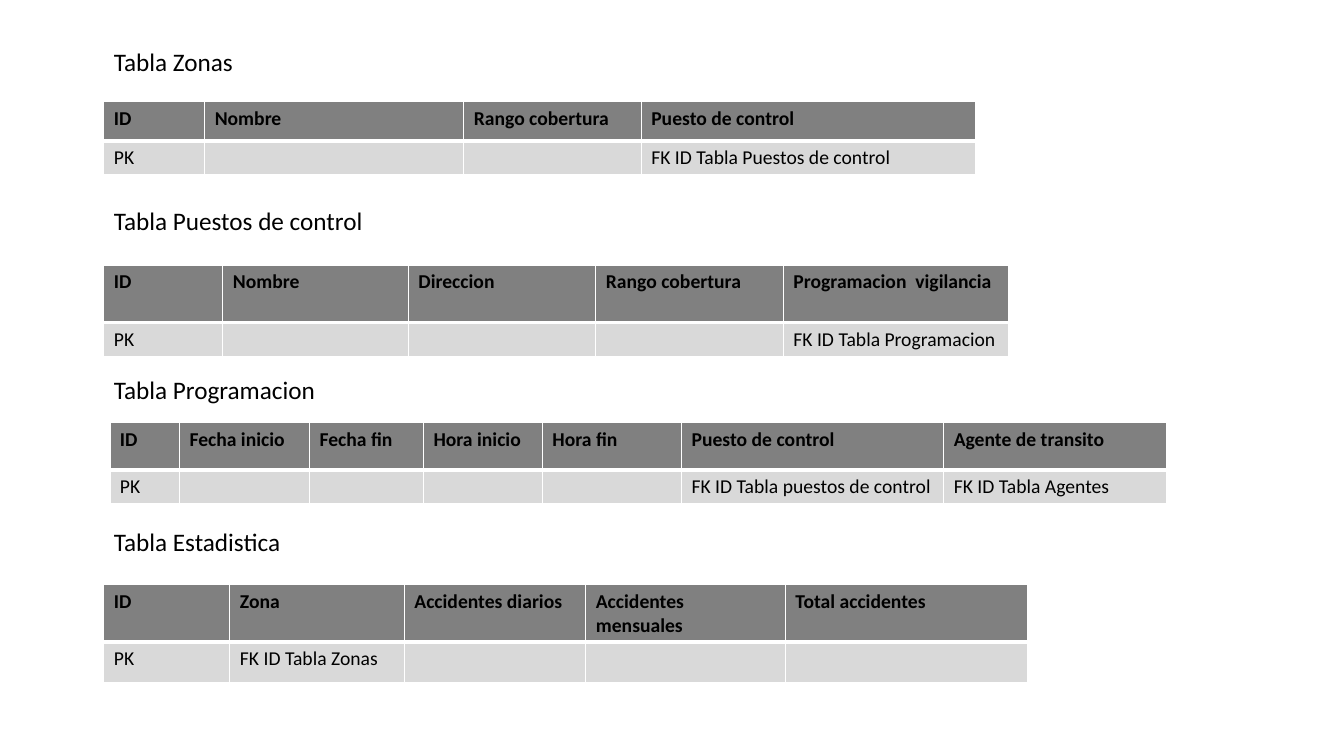
"""Build a slide with four database table layouts and their titles."""
import pptx
import pptx.dml.color
import pptx.oxml.ns
import pptx.util
from lxml import etree

Inches = pptx.util.Inches
qn = pptx.oxml.ns.qn


def paint(fill, color):
    fill.solid()
    fill.fore_color.rgb = pptx.dml.color.RGBColor.from_string(color)


def edge(cell, side, width):
    props = cell._tc.get_or_add_tcPr()
    line = etree.SubElement(props, qn("a:" + side), w=str(pptx.util.Pt(width)))
    fill = etree.SubElement(line, qn("a:solidFill"))
    etree.SubElement(fill, qn("a:srgbClr"), val="FFFFFF")


deck = pptx.Presentation()
deck.slide_width = Inches(13.33)
deck.slide_height = Inches(7.5)
slide = deck.slides.add_slide(deck.slide_layouts[6])

tables = [
    ("Tabla Zonas", 0.41, 1.03, 1.01, (0.39, 0.33), [
        (1, "ID", "PK"),
        (2.57, "Nombre", ""),
        (1.76, "Rango cobertura", ""),
        (3.32, "Puesto de control", "FK ID Tabla Puestos de control")]),
    ("Tabla Puestos de control", 1.99, 1.03, 2.63, (0.57, 0.33), [
        (1.18, "ID", "PK"),
        (1.84, "Nombre", ""),
        (1.86, "Direccion", ""),
        (1.86, "Rango cobertura", ""),
        (2.23, "Programacion  vigilancia", "FK ID Tabla Programacion")]),
    ("Tabla Programacion", 3.66, 1.09, 4.19, (0.47, 0.33), [
        (0.69, "ID", "PK"),
        (1.29, "Fecha inicio", ""),
        (1.13, "Fecha fin", ""),
        (1.18, "Hora inicio", ""),
        (1.38, "Hora fin", ""),
        (2.6, "Puesto de control", "FK ID Tabla puestos de control"),
        (2.21, "Agente de transito", "FK ID Tabla Agentes")]),
    ("Tabla Estadistica", 5.17, 1.03, 5.8, (0.4, 0.4), [
        (1.25, "ID", "PK"),
        (1.73, "Zona", "FK ID Tabla Zonas"),
        (1.8, "Accidentes diarios", ""),
        (1.98, "Accidentes mensuales", ""),
        (2.4, "Total accidentes", "")]),
]

for title, head, left, top, rows, fields in tables:
    box = slide.shapes.add_textbox(Inches(1.03), Inches(head), Inches(3.45), Inches(0.4))
    box.text_frame.word_wrap = True
    box.text_frame.text = title
    font = box.text_frame.paragraphs[0].runs[0].font
    font.size = pptx.util.Pt(18)
    font.name = "Calibri"
    paint(font.fill, "000000")

    width = sum(field[0] for field in fields)
    frame = slide.shapes.add_table(
        2, len(fields), Inches(left), Inches(top), Inches(width), Inches(sum(rows)))
    grid = frame.table
    for row, height in enumerate(rows):
        grid.rows[row].height = Inches(height)
    for col, (wide, *texts) in enumerate(fields):
        grid.columns[col].width = Inches(wide)
        for row, text in enumerate(texts):
            cell = grid.cell(row, col)
            for side, thick in (("lnL", 1), ("lnR", 1),
                                ("lnT", 3 if row else 1), ("lnB", 1 if row else 3)):
                edge(cell, side, thick)
            paint(cell.fill, "D9D9D9" if row else "808080")
            cell.text_frame.text = text
            para = cell.text_frame.paragraphs[0]
            for run in para.runs:
                run.font.size = pptx.util.Pt(14)
                run.font.name = "Calibri"
                run.font.bold = row == 0
                paint(run.font.fill, "000000")
            if not text:
                etree.SubElement(para._p, qn("a:endParaRPr"), sz="1400")

deck.save("out.pptx")
